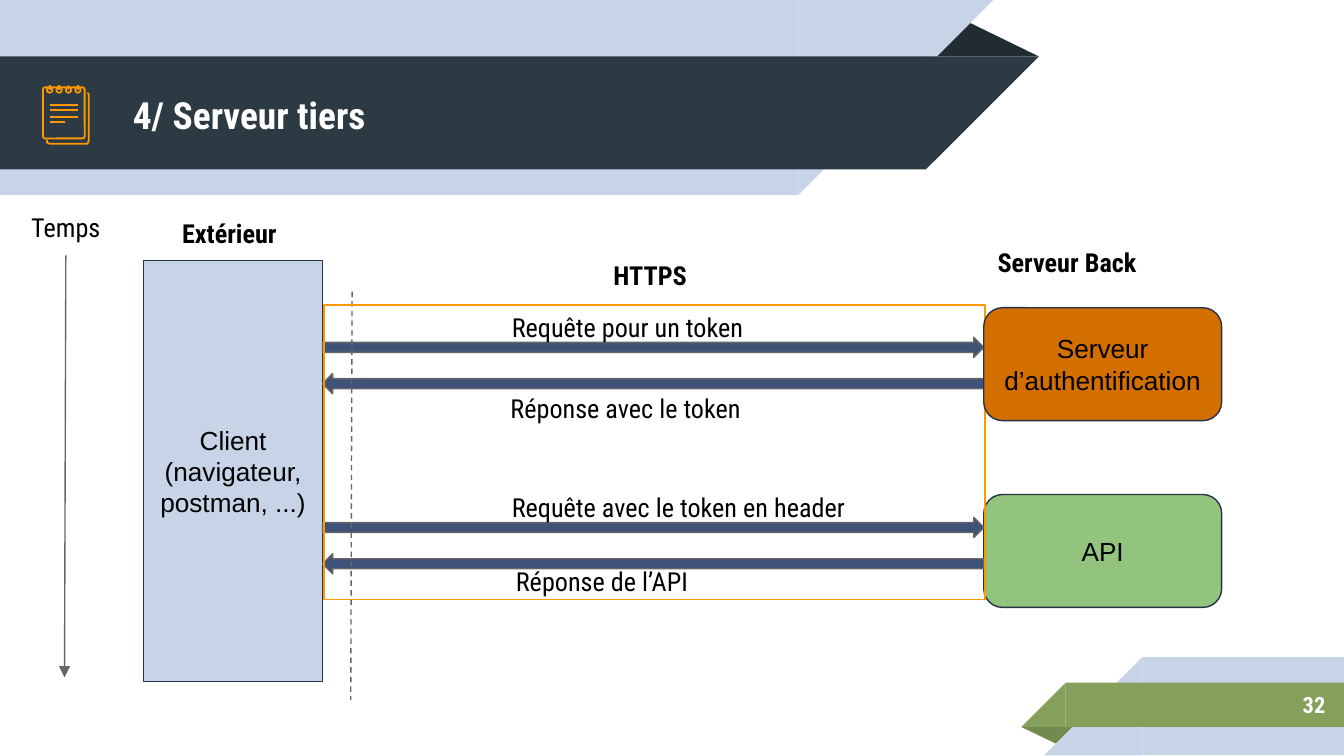
from dataclasses import dataclass

from lxml import etree
from pptx import Presentation
from pptx.dml.color import RGBColor
from pptx.enum.dml import MSO_LINE
from pptx.enum.shapes import MSO_CONNECTOR, MSO_SHAPE
from pptx.enum.text import MSO_ANCHOR, PP_ALIGN
from pptx.oxml.ns import qn
from pptx.util import Inches, Pt

RECTANGLE, ROUNDED = MSO_SHAPE.RECTANGLE, MSO_SHAPE.ROUNDED_RECTANGLE
TRIANGLE, RIGHT_TRIANGLE = MSO_SHAPE.ISOSCELES_TRIANGLE, MSO_SHAPE.RIGHT_TRIANGLE
ARROW, OVAL = MSO_SHAPE.RIGHT_ARROW, MSO_SHAPE.OVAL
STRAIGHT, DASH = MSO_CONNECTOR.STRAIGHT, MSO_LINE.DASH
LEFT, CENTER, RIGHT = PP_ALIGN.LEFT, PP_ALIGN.CENTER, PP_ALIGN.RIGHT
TOP, MIDDLE = MSO_ANCHOR.TOP, MSO_ANCHOR.MIDDLE

COLORS = {
    "pale": "C7D3E6", "slate": "2C3B43", "slate_fold": "202C32",
    "green": "85A05B", "green_fold": "728A4E", "icon": "FF9800",
    "frame": "FF9900", "outline": "263248", "grey": "666666",
    "arrow": "3F5378", "api": "93C47D", "auth": "D26F00",
    "white": "FFFFFF", "black": "000000",
}
HEADING_FONT, BOX_FONT = "Roboto Condensed", "Arial"
ICON_WIDTH = 0.96
Box = tuple[float, float, float, float]


@dataclass
class Figure:
    kind: int
    box: Box
    fill: str | None = None
    line: str | None = None
    width: float = 0.75
    rotation: int = 0
    flip: bool = False
    adjustment: float | None = None
    text: str = ""


@dataclass
class Label:
    text: str
    box: Box
    align: int = CENTER
    anchor: int = TOP
    bold: bool = False
    size: int = 14
    color: str = "black"


def color(name: str) -> RGBColor:
    return RGBColor.from_string(COLORS[name])


def style_line(line, name: str, width: float) -> None:
    line.color.rgb = color(name)
    line.width = Pt(width)


def write_text(shape, text: str, font_name: str, align: int = CENTER, anchor: int = MIDDLE,
               bold: bool = False, size: int = 14, font_color: str = "black") -> None:
    frame = shape.text_frame
    margins = {f"margin_{side}": Inches(0.1) for side in ("left", "top", "right", "bottom")}
    for name, value in {"word_wrap": True, "vertical_anchor": anchor, **margins}.items():
        setattr(frame, name, value)
    paragraph = frame.paragraphs[0]
    paragraph.alignment = align
    run = paragraph.add_run()
    run.text = text
    for name, value in {"name": font_name, "size": Pt(size), "bold": bold}.items():
        setattr(run.font, name, value)
    run.font.color.rgb = color(font_color)


def draw_figure(slide, figure: Figure) -> None:
    shape = slide.shapes.add_shape(figure.kind, *map(Inches, figure.box))
    shape.shadow.inherit = False
    shape.rotation = figure.rotation
    if figure.flip:
        shape._element.spPr.find(qn("a:xfrm")).set("flipH", "1")
    if figure.adjustment is not None:
        shape.adjustments[0] = figure.adjustment
    if figure.fill:
        shape.fill.solid()
        shape.fill.fore_color.rgb = color(figure.fill)
    else:
        shape.fill.background()
    if figure.line:
        style_line(shape.line, figure.line, figure.width)
    else:
        shape.line.fill.background()
    if figure.text:
        write_text(shape, figure.text, BOX_FONT)


def draw_label(slide, label: Label) -> None:
    shape = slide.shapes.add_textbox(*map(Inches, label.box))
    write_text(shape, label.text, HEADING_FONT, label.align, label.anchor,
               label.bold, label.size, label.color)


def draw_line(slide, start: tuple[float, float], end: tuple[float, float],
              name: str = "grey", width: float = 0.75):
    connector = slide.shapes.add_connector(STRAIGHT, *map(Inches, start + end))
    style_line(connector.line, name, width)
    etree.SubElement(connector._element.spPr, qn("a:effectLst"))
    return connector


def draw_notepad(slide) -> None:
    # Back sheet, seen below and to the right of the front one
    builder = slide.shapes.build_freeform(Inches(0.35), Inches(1.04))
    corners = [(0.35, 1.06), (0.37, 1.07), (0.65, 1.07), (0.66, 1.05), (0.66, 0.7), (0.65, 0.69)]
    builder.add_line_segments([(Inches(x), Inches(y)) for x, y in corners], close=False)
    sheet = builder.convert_to_shape()
    sheet.shadow.inherit = False
    sheet.fill.background()
    style_line(sheet.line, "icon", ICON_WIDTH)

    draw_figure(slide, Figure(ROUNDED, (0.32, 0.65, 0.31, 0.38), None, "icon", ICON_WIDTH,
                              adjustment=0.05))
    # Rings and their pins
    for index in range(4):
        x = 0.37 + 0.07 * index
        draw_figure(slide, Figure(OVAL, (x - 0.02, 0.65, 0.04, 0.04), None, "icon", ICON_WIDTH))
        draw_line(slide, (x, 0.63), (x, 0.67), "icon", ICON_WIDTH)
    # Written lines
    for y, right in ((0.78, 0.58), (0.82, 0.58), (0.87, 0.58), (0.91, 0.48)):
        draw_line(slide, (0.37, y), (right, y), "icon", ICON_WIDTH)


RIBBONS = [
    # Header
    Figure(TRIANGLE, (6.88, 0.14, 0.85, 0.28), "slate_fold", adjustment=0.324),
    Figure(RECTANGLE, (0, 0, 5.94, 1.45), "pale", rotation=180, flip=True),
    Figure(RIGHT_TRIANGLE, (5.94, 0, 1.45, 1.45), "pale", rotation=180, flip=True),
    Figure(RECTANGLE, (0, 0.42, 6.89, 0.84), "slate", rotation=180, flip=True),
    Figure(RIGHT_TRIANGLE, (6.89, 0.42, 0.84, 0.84), "slate", rotation=180, flip=True),
    # Footer
    Figure(TRIANGLE, (7.6, 5.41, 0.43, 0.14), "green_fold", rotation=180, adjustment=0.324),
    Figure(RECTANGLE, (8.5, 4.89, 1.5, 0.73), "pale", flip=True),
    Figure(RIGHT_TRIANGLE, (7.77, 4.89, 0.73, 0.73), "pale", flip=True),
    Figure(RECTANGLE, (7.93, 5.08, 2.07, 0.33), "green", flip=True),
    Figure(RIGHT_TRIANGLE, (7.6, 5.08, 0.33, 0.33), "green", flip=True),
]
CLIENT = Figure(RECTANGLE, (1.07, 1.94, 1.33, 3.13), "pale", "outline",
                text="Client (navigateur, postman, ...)")
API = Figure(ROUNDED, (7.32, 3.68, 1.77, 0.84), "api", "outline", text="API")
AUTHENTICATION = Figure(ROUNDED, (7.32, 2.29, 1.77, 0.84), "auth", "outline",
                        text="Serveur d’authentification")
HTTPS_FRAME = Figure(RECTANGLE, (2.41, 2.27, 4.92, 2.19), None, "frame")
HEADINGS = [
    Label("4/ Serveur tiers", (0.89, 0.43, 5.75, 0.84), LEFT, MIDDLE, True, 20, "white"),
    Label("32", (8.33, 5.07, 1.63, 0.35), RIGHT, MIDDLE, True, 12, "white"),
]
LABELS = [
    Label("Serveur Back", (7.32, 1.73, 1.24, 0.44), bold=True),
    Label("Extérieur ", (1.11, 1.52, 1.24, 0.38), bold=True),
    Label("Requête pour un token", (3.71, 2.22, 4.66, 0.54), LEFT),
    Label("Réponse avec le token", (3.7, 2.82, 4.66, 0.54), LEFT),
    Label("Requête avec le token en header", (3.71, 3.56, 4.66, 0.54), LEFT),
    Label("Réponse de l’API", (3.74, 4.11, 4.66, 0.54), LEFT),
    Label("Temps", (0.08, 1.52, 0.82, 0.15)),
    Label("HTTPS ", (3.22, 1.83, 3.28, 0.44), bold=True),
]


def main() -> None:
    presentation = Presentation()
    presentation.slide_width = Inches(10)
    presentation.slide_height = Inches(10) * 9 // 16
    slide = presentation.slides.add_slide(presentation.slide_layouts[6])

    # Ribbons, title, page number and icon
    for ribbon in RIBBONS:
        draw_figure(slide, ribbon)
    for heading in HEADINGS:
        draw_label(slide, heading)
    draw_notepad(slide)

    # Client and API, then the request and response arrows of each exchange
    draw_figure(slide, CLIENT)
    draw_figure(slide, API)
    for request_top in (2.51, 3.85):
        for offset, is_response in ((0, False), (0.27, True)):
            draw_figure(slide, Figure(ARROW, (2.4, request_top + offset, 4.92, 0.15),
                                      "arrow", "grey", flip=is_response))

    # Outside boundary and time axis
    draw_line(slide, (2.62, 2.17), (2.61, 5.21)).line.dash_style = DASH
    time_axis = draw_line(slide, (0.49, 1.9), (0.48, 5.04))
    etree.SubElement(time_axis.line._get_or_add_ln(), qn("a:tailEnd"), type="triangle")

    # Wording, HTTPS frame and authentication server
    for label in LABELS:
        draw_label(slide, label)
    draw_figure(slide, HTTPS_FRAME)
    draw_figure(slide, AUTHENTICATION)

    presentation.save("out.pptx")


if __name__ == "__main__":
    main()
